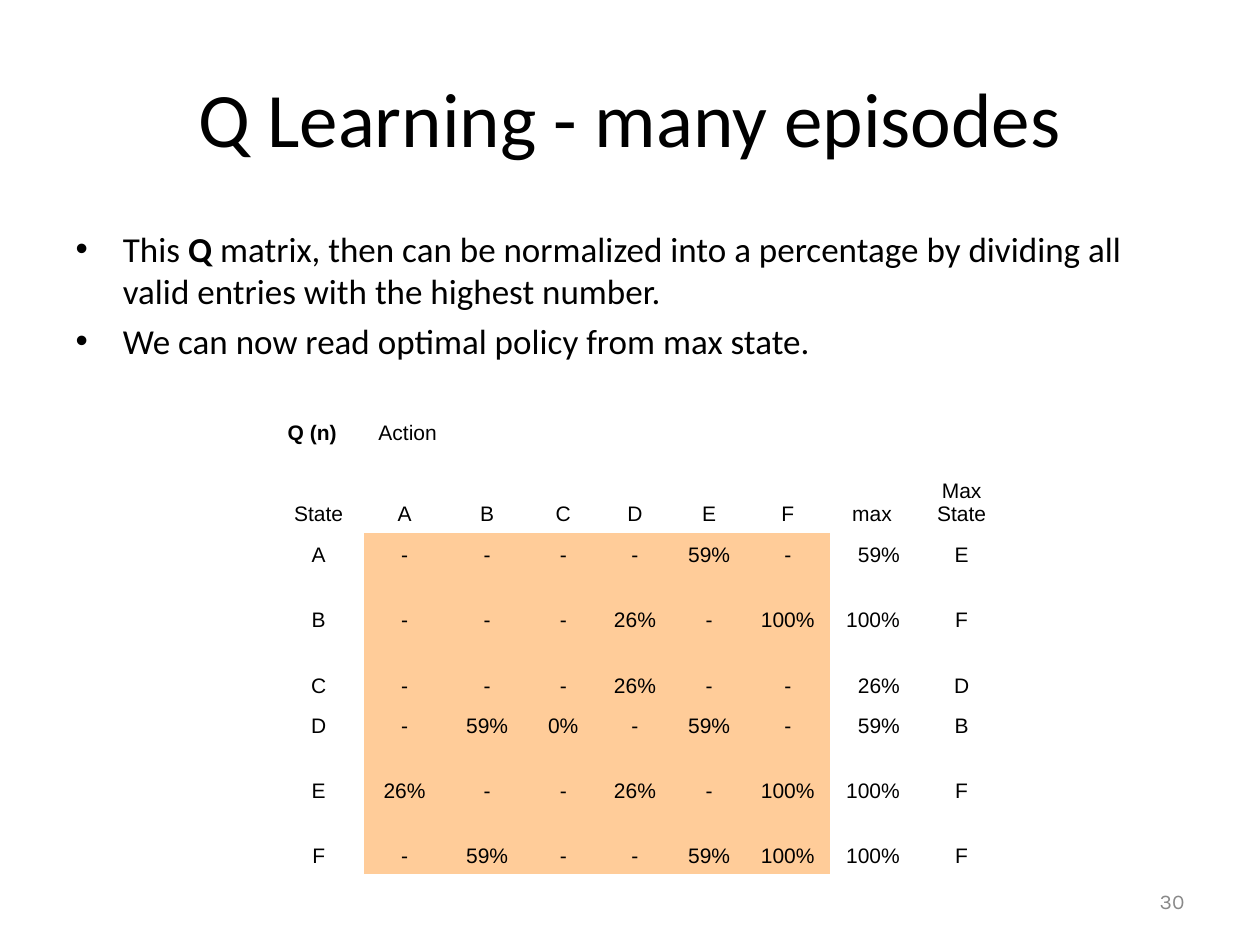
"""Build the slide showing the normalized Q matrix."""
from dataclasses import dataclass

from pptx import Presentation
from pptx.dml.color import RGBColor
from pptx.enum.text import MSO_ANCHOR, MSO_AUTO_SIZE, PP_ALIGN
from pptx.oxml.ns import qn
from pptx.util import Cm, Pt

LEFT, CENTER, RIGHT = PP_ALIGN.LEFT, PP_ALIGN.CENTER, PP_ALIGN.RIGHT
TOP, MIDDLE, BOTTOM = MSO_ANCHOR.TOP, MSO_ANCHOR.MIDDLE, MSO_ANCHOR.BOTTOM
NO_FIT = MSO_AUTO_SIZE.NONE
NO_STYLE = "{2D5ABB26-0587-4C30-8999-92F81FD0307C}"
BLACK, GRAY, ORANGE = "000000", "898989", "FFCC99"


@dataclass(frozen=True)
class TextStyle:
    font: str
    size: float
    color: str = BLACK
    align: PP_ALIGN = LEFT


@dataclass(frozen=True)
class Box:
    left: float
    top: float
    width: float
    height: float

    def lengths(self) -> tuple:
        return Cm(self.left), Cm(self.top), Cm(self.width), Cm(self.height)


TITLE = TextStyle("Calibri", 44, align=CENTER)
BODY = TextStyle("Calibri", 20)
NUMBER = TextStyle("Karla", 12, GRAY, RIGHT)
CELL = TextStyle("Arial", 12, align=CENTER)
CELL_LEFT = TextStyle("Arial", 12)
CELL_RIGHT = TextStyle("Arial", 12, align=RIGHT)

BULLETS = [
    ["This ", "Q ", "matrix, then can be normalized into a percentage "
     "by dividing all valid entries with the highest number."],
    ["We can now read optimal policy from max state."],
]
COL_WIDTHS = [1.83, 1.63, 1.7, 1.37, 1.52, 1.47, 1.7, 1.7, 1.91]
ROW_HEIGHTS = [1.47, 1.65, 0.81, 1.32, 1.32, 0.81, 1.32, 1.3]
ROWS = [
    ["Q (n)", "Action", "", "", "", "", "", "", ""],
    ["State", "A", "B", "C", "D", "E", "F", "max", "Max State"],
    ["A", "-", "-", "-", "-", "59%", "-", "59%", "E"],
    ["B", "-", "-", "-", "26%", "-", "100%", "100%", "F"],
    ["C", "-", "-", "-", "26%", "-", "-", "26%", "D"],
    ["D", "-", "59%", "0%", "-", "59%", "-", "59%", "B"],
    ["E", "26%", "-", "-", "26%", "-", "100%", "100%", "F"],
    ["F", "-", "59%", "-", "-", "59%", "100%", "100%", "F"],
]
FIRST_DATA_ROW, MAX_COL = 2, 7


def rgb(color: str) -> RGBColor:
    """Turn a hex string into a colour."""
    return RGBColor.from_string(color)


def format_paragraph(p, style: TextStyle) -> None:
    """Apply a text style to a paragraph and its runs."""
    p.alignment = style.align
    for r in p.runs:
        r.font.name = style.font
        r.font.size = Pt(style.size)
        r.font.color.rgb = rgb(style.color)


def place(sp, box: Box, anchor: MSO_ANCHOR):
    """Position a text shape and return its text frame."""
    sp.left, sp.top, sp.width, sp.height = box.lengths()
    tf = sp.text_frame
    tf.word_wrap = True
    tf.auto_size = NO_FIT
    tf.vertical_anchor = anchor
    return tf


def add_bullets(tf, bullets: list[list[str]]) -> None:
    """Fill the body with bullets, the second run of each being bold."""
    for i, parts in enumerate(bullets):
        p = tf.add_paragraph() if i else tf.paragraphs[0]
        p.space_before = Pt(5 if i else 0)
        for j, part in enumerate(parts):
            r = p.add_run()
            r.text = part
            r.font.bold = j == 1
        format_paragraph(p, BODY)


def cell_style(row: int, col: int) -> TextStyle:
    """Choose the text style of a table cell."""
    if row == 0:
        return CELL_LEFT
    return CELL_RIGHT if row >= FIRST_DATA_ROW and col == MAX_COL else CELL


def format_cell(cell, text: str, row: int, col: int) -> None:
    """Write and format one cell of the Q matrix."""
    cell.text = text
    cell.vertical_anchor = BOTTOM
    cell.margin_left = cell.margin_right = Cm(0.29)
    cell.margin_top = cell.margin_bottom = Cm(0.13)
    format_paragraph(cell.text_frame.paragraphs[0], cell_style(row, col))
    if row >= FIRST_DATA_ROW and 0 < col < MAX_COL:
        cell.fill.solid()
        cell.fill.fore_color.rgb = rgb(ORANGE)
    else:
        cell.fill.background()


def add_matrix(s, box: Box) -> None:
    """Add the Q matrix table."""
    table = s.shapes.add_table(len(ROWS), len(COL_WIDTHS), *box.lengths()).table
    table._tbl.tblPr.find(qn("a:tableStyleId")).text = NO_STYLE
    table.first_row = table.horz_banding = False
    for column, width in zip(table.columns, COL_WIDTHS):
        column.width = Cm(width)
    for row, height in zip(table.rows, ROW_HEIGHTS):
        row.height = Cm(height)
    for i, texts in enumerate(ROWS):
        for j, text in enumerate(texts):
            format_cell(table.cell(i, j), text, i, j)
    table.cell(0, 0).text_frame.paragraphs[0].runs[0].font.bold = True
    table.cell(0, 1).merge(table.cell(0, 2))


def main() -> None:
    """Build and save the slide."""
    prs = Presentation()
    prs.slide_width, prs.slide_height = Cm(25.4), Cm(19.05)
    s = prs.slides.add_slide(prs.slide_layouts[1])

    tf = place(s.shapes.title, Box(1.27, 0.76, 22.86, 3.18), MIDDLE)
    tf.text = "Q Learning - many episodes"
    format_paragraph(tf.paragraphs[0], TITLE)

    body = place(s.placeholders[1], Box(1.27, 4.45, 22.86, 12.57), TOP)
    add_bullets(body, BULLETS)

    number_box = Box(18.21, 17.65, 5.92, 1.02)
    tf = place(s.shapes.add_textbox(*number_box.lengths()), number_box, MIDDLE)
    tf.text = "30"
    format_paragraph(tf.paragraphs[0], NUMBER)

    add_matrix(s, Box(5.51, 7.62, sum(COL_WIDTHS), sum(ROW_HEIGHTS)))
    prs.save("out.pptx")


if __name__ == "__main__":
    main()
